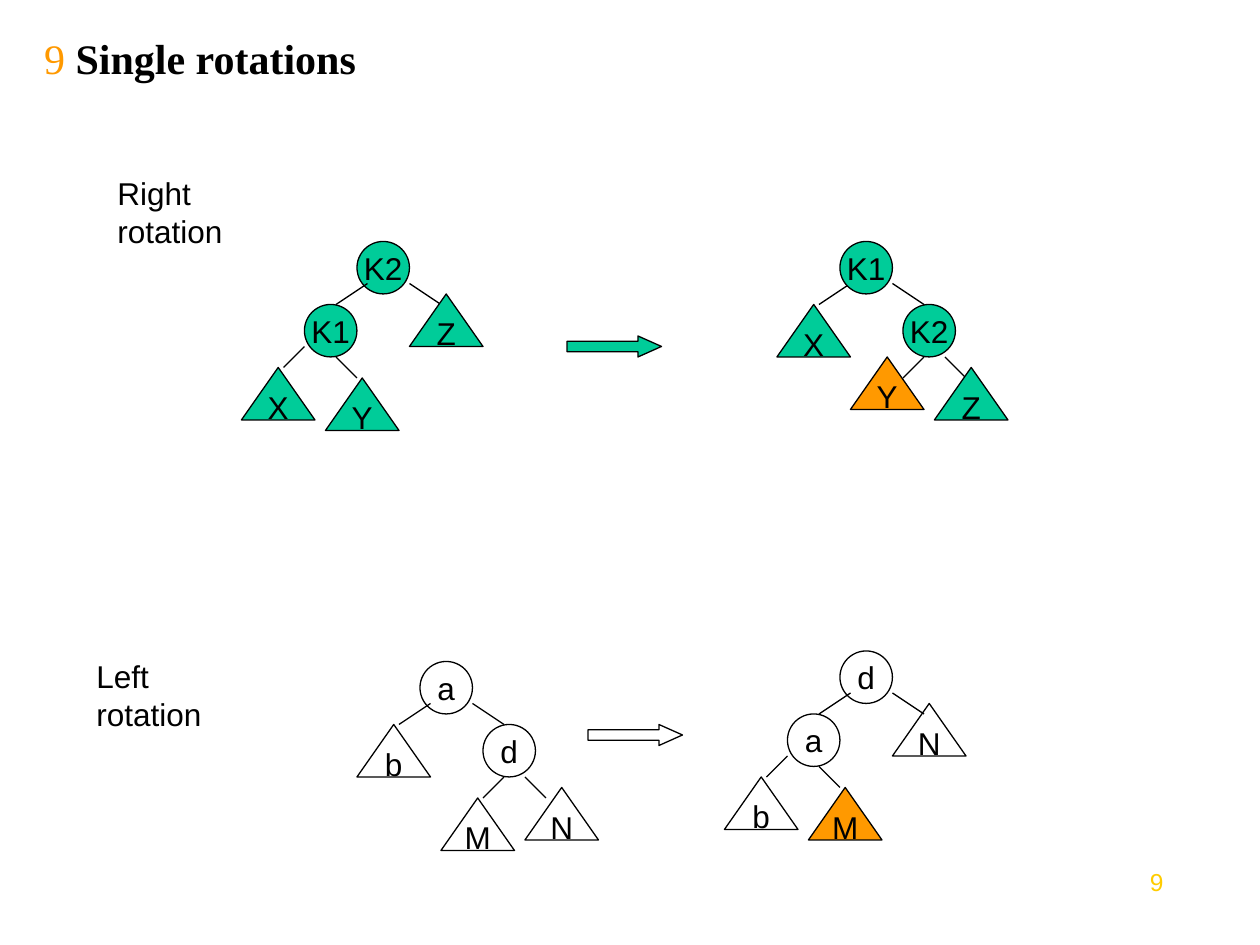
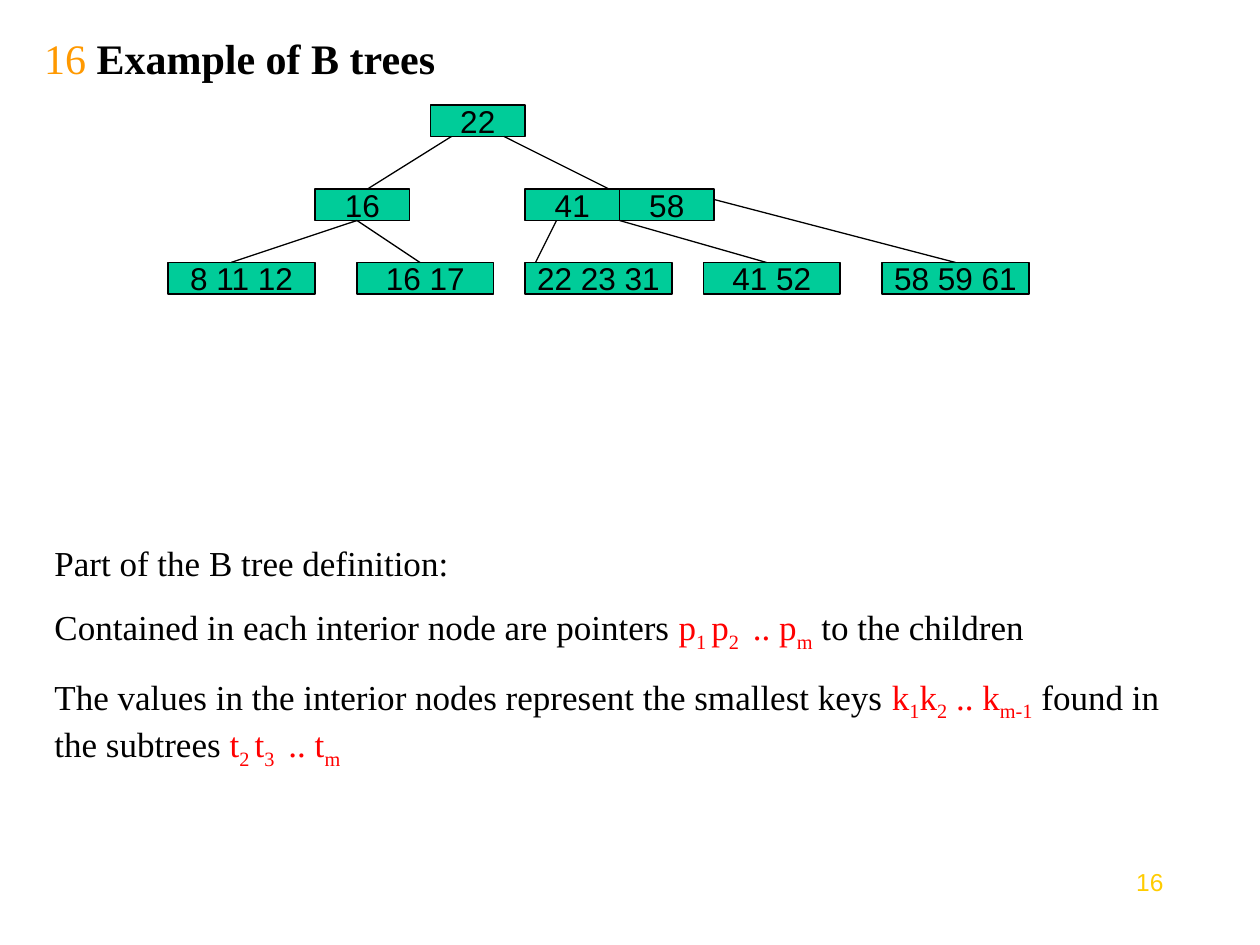
from itertools import cycle

from pptx import Presentation
from pptx.dml.color import RGBColor
from pptx.enum.shapes import MSO_CONNECTOR as LINE, MSO_SHAPE as SHAPE
from pptx.enum.text import MSO_ANCHOR as ANCHOR, MSO_AUTO_SIZE as FIT, PP_ALIGN as ALIGN
from pptx.oxml.ns import qn
from pptx.util import Cm, Pt

# Shared look
GREEN, ORANGE, GOLD, RED, BLACK = "00CC99", "FF9900", "FFCC00", "FF0000", "000000"
HEAD = {"name": "Times New Roman", "size": Pt(24)}
BODY = {"name": "Times New Roman", "size": Pt(20)}
LABEL = {"name": "Arial", "size": Pt(18)}
FOOT = {"name": "Arial", "size": Pt(14)}

# Tree outlines, in grid steps from the top left of the root
LEFT = {
    "child": (-5, 6),
    "edges": [(1, 4, -2, 6), (5, 4, 8, 6), (-5, 10, -7, 12), (-2, 11, 0, 13)],
    "leaves": [(-11, 12), (-3, 13), (5, 5)],
    "order": "nodes edges leaves",
}
RIGHT = {
    "child": (6, 6),
    "edges": [(1, 4, -2, 6), (5, 4, 8, 6), (8, 11, 6, 13), (10, 11, 12, 13)],
    "leaves": [(-6, 6), (1, 11), (9, 12)],
    "order": "edges leaves nodes",
}
WIDE = {**RIGHT, "leaves": [(-6, 6), (2, 13), (10, 12)]}

# B tree: text, left, top, width
KEYS = [
    ("22", 41, 10, 9), ("16", 30, 18, 9), ("41", 50, 18, 9), ("58", 59, 18, 9),
    ("8 11 12", 16, 25, 14), ("16 17", 34, 25, 13), ("22 23 31", 50, 25, 14),
    ("41 52", 67, 25, 13), ("58 59 61", 84, 25, 14),
]
LINKS = [
    (34, 21, 22, 25), (53, 21, 51, 25), (34, 21, 40, 25), (59, 21, 73, 25),
    (48, 13, 58, 18), (43, 13, 35, 18), (68, 19, 91, 25),
]

# Parts run in turn: plain text, then three symbols each with a subscript
PARTS = [(BLACK, 0)] + [(RED, 0), (RED, -25000)] * 3
RULES = [
    "Part of the B tree definition:",
    "Contained in each interior node are pointers |p|1 |p|2 | .. p|m| to the children",
    "The values in the interior nodes represent the smallest keys "
    "|k|1|k|2| .. k|m-1| found in the subtrees |t|2 |t|3 | .. t|m",
]


def grid(*steps):
    """Lengths on a grid of twelve steps to the inch."""
    return [Cm(2.54 * step / 12) for step in steps]


def paint(color, value):
    color.rgb = RGBColor.from_string(value)


def write(para, text, form, color=BLACK, **more):
    run = para.add_run()
    run.text = text
    for key, value in {**form, **more}.items():
        setattr(run.font, key, value)
    paint(run.font.color, color)
    return run


def add_box(slide, place, fit=FIT.NONE):
    frame = slide.shapes.add_textbox(*grid(*place)).text_frame
    frame.word_wrap = True
    frame.auto_size = fit
    return frame


def add_slide(deck, number, name):
    slide = deck.slides.add_slide(deck.slide_layouts[5])
    # Title with its number
    title = slide.shapes.title
    title.left, title.top, title.width, title.height = grid(3, 3, 102, 5)
    frame = title.text_frame
    frame.auto_size = FIT.NONE
    frame.vertical_anchor = ANCHOR.MIDDLE
    para = frame.paragraphs[0]
    para.alignment = ALIGN.LEFT
    write(para, f"{number} ", HEAD, ORANGE, bold=False)
    write(para, name, HEAD, bold=True)
    # Page number
    foot = add_box(slide, (104, 82, 8, 6.25)).paragraphs[0]
    foot.alignment = ALIGN.RIGHT
    write(foot, str(number), FOOT, GOLD)
    return slide


def add_form(shapes, kind, place, fill=None, text=""):
    form = shapes.add_shape(kind, *grid(*place))
    form.shadow.inherit = False
    if fill:
        form.fill.solid()
        paint(form.fill.fore_color, fill)
    else:
        form.fill.background()
    paint(form.line.color, BLACK)
    form.line.width = Pt(0.75)
    if text:
        frame = form.text_frame
        frame.word_wrap = False
        frame.vertical_anchor = ANCHOR.MIDDLE
        frame.paragraphs[0].alignment = ALIGN.CENTER
        write(frame.paragraphs[0], text, LABEL)
    return form


def add_link(shapes, ends):
    link = shapes.add_connector(LINE.STRAIGHT, *grid(*ends))
    paint(link.line.color, BLACK)
    link.line.width = Pt(0.75)
    props = link._element.spPr
    props.append(props.makeelement(qn("a:effectLst"), {}))
    return link


def add_tree(slide, plan, root, nodes, leaves, fill=None, moved=None):
    """Draw two round nodes and three subtrees; the moved one is orange."""
    shapes = slide.shapes.add_group_shape().shapes
    x, y = root
    for part in plan["order"].split():
        if part == "edges":
            for a, b, c, d in plan["edges"]:
                add_link(shapes, (x + a, y + b, x + c, y + d))
        elif part == "nodes":
            for text, (dx, dy) in zip(nodes, [(0, 0), plan["child"]]):
                add_form(shapes, SHAPE.OVAL, (x + dx, y + dy, 5, 5), fill, text)
        else:
            for text, (dx, dy) in zip(leaves, plan["leaves"]):
                tint = ORANGE if text == moved else fill
                place = (x + dx, y + dy, 7, 5)
                add_form(shapes, SHAPE.ISOSCELES_TRIANGLE, place, tint, text)


def add_arrow(slide, x, y, fill=None):
    arrow = add_form(slide.shapes, SHAPE.RIGHT_ARROW, (x, y, 9, 2), fill)
    arrow.adjustments[1] = 1.12


def add_label(slide, x, y, text):
    para = add_box(slide, (x, y, 17, 8.4), FIT.SHAPE_TO_FIT_TEXT).paragraphs[0]
    para.space_before = Pt(11.2)
    write(para, text, LABEL)


def add_rules(slide):
    frame = add_box(slide, (4, 51, 111, 23), FIT.SHAPE_TO_FIT_TEXT)
    for index, rule in enumerate(RULES):
        para = frame.add_paragraph() if index else frame.paragraphs[0]
        para.space_before = Pt(12.5)
        for text, (color, base) in zip(rule.split("|"), cycle(PARTS)):
            run = write(para, text, BODY, color)
            if base:
                run.font._element.set("baseline", str(base))


def main():
    deck = Presentation()
    deck.slide_width, deck.slide_height = Cm(25.4), Cm(19.05)

    # Rotations
    slide = add_slide(deck, 9, "Single rotations")
    add_tree(slide, LEFT, (34, 23), ("K2", "K1"), "XYZ", GREEN)
    add_tree(slide, RIGHT, (80, 23), ("K1", "K2"), "XYZ", GREEN, "Y")
    add_arrow(slide, 54, 32, GREEN)
    add_label(slide, 10, 16, "Right rotation")
    add_tree(slide, WIDE, (40, 63), "ad", "bMN")
    add_tree(slide, LEFT, (80, 62), "da", "bMN", moved="M")
    add_arrow(slide, 56, 69)
    add_label(slide, 8, 62, "Left rotation")

    # B tree
    slide = add_slide(deck, 16, "Example of B trees")
    add_rules(slide)
    for text, x, y, width in KEYS:
        key = add_form(slide.shapes, SHAPE.RECTANGLE, (x, y, width, 3), GREEN, text)
    for ends in LINKS:
        link = add_link(slide.shapes, ends)
    link.end_connect(key, 0)  # the last link meets the last leaf

    deck.save("out.pptx")


if __name__ == "__main__":
    main()
